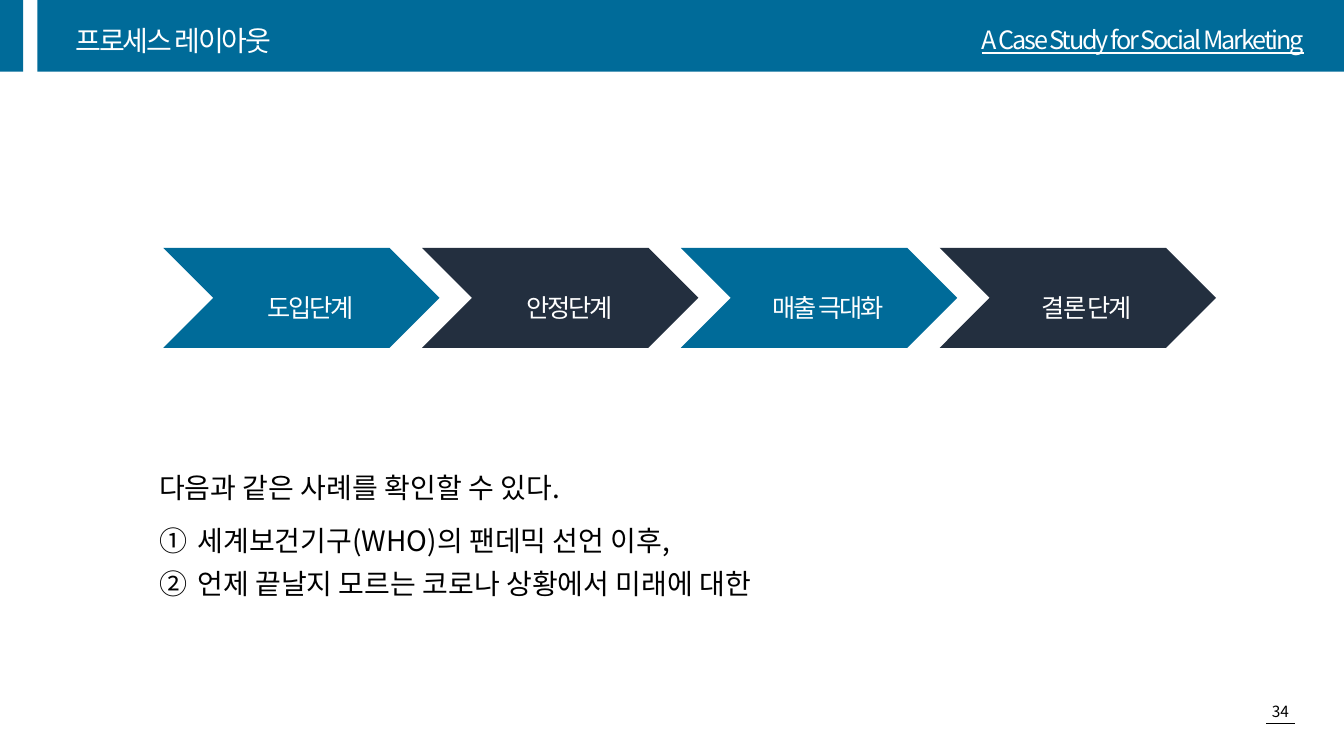
from lxml import etree
from pptx import Presentation
from pptx.dml.color import RGBColor
from pptx.enum.shapes import MSO_CONNECTOR, MSO_SHAPE
from pptx.enum.text import MSO_ANCHOR, PP_ALIGN
from pptx.oxml.ns import qn
from pptx.util import Inches, Pt

RECTANGLE, CHEVRON = MSO_SHAPE.RECTANGLE, MSO_SHAPE.CHEVRON
LEFT, CENTER, RIGHT, JUSTIFY = PP_ALIGN.LEFT, PP_ALIGN.CENTER, PP_ALIGN.RIGHT, PP_ALIGN.JUSTIFY
TOP, MIDDLE = MSO_ANCHOR.TOP, MSO_ANCHOR.MIDDLE

TITLE = "프로세스 레이아웃"
SUBTITLE = "A Case Study for Social Marketing"
STAGES = ["도입단계", "안정단계", "매출 극대화", "결론 단계"]
LEAD = "다음과 같은 사례를 확인할 수 있다."
CASES = ["세계보건기구(WHO)의 팬데믹 선언 이후,", "언제 끝날지 모르는 코로나 상황에서 미래에 대한"]
PAGE_NUMBER = "34"

FONT = "Noto Sans CJK KR"
BLUE, NAVY, WHITE, BLACK = "006B99", "232F3F", "FFFFFF", "000000"
HEADER_BARS = [(0, 0.23), (0.37, 12.97)]
HEADER_HEIGHT = 0.71
STAGE_LEFT, STAGE_TOP, STAGE_PITCH = 1.62, 2.46, 2.567
STAGE_WIDTH, STAGE_HEIGHT = 2.74, 0.99
LABEL_OFFSET = 0.21
NUMBER_INDENT = 0.38

presentation = Presentation()
presentation.slide_width, presentation.slide_height = Inches(13.33), Inches(7.5)
slide = presentation.slides.add_slide(presentation.slide_layouts[6])


def color(value):
    return RGBColor.from_string(value)


def add_block(kind, left, top, width, height, fill):
    shape = slide.shapes.add_shape(kind, Inches(left), Inches(top), Inches(width), Inches(height))
    shape.shadow.inherit = False
    shape.fill.solid()
    shape.fill.fore_color.rgb = color(fill)
    shape.line.fill.background()


def number_paragraph(paragraph):
    properties = paragraph._p.get_or_add_pPr()
    properties.set("marL", str(Inches(NUMBER_INDENT)))
    properties.set("indent", str(-Inches(NUMBER_INDENT)))
    etree.SubElement(properties, qn("a:buFont"), typeface="+mj-ea")
    etree.SubElement(properties, qn("a:buAutoNum"), type="circleNumDbPlain")


def add_text(lines, left, top, width, height, size=20, fill=BLACK, align=LEFT, anchor=TOP,
             line_spacing=1.3, tracking=0, underline=False, numbered=False):
    box = slide.shapes.add_textbox(Inches(left), Inches(top), Inches(width), Inches(height))
    frame = box.text_frame
    frame.word_wrap = True
    frame.vertical_anchor = anchor
    for index, line in enumerate(lines):
        paragraph = frame.add_paragraph() if index else frame.paragraphs[0]
        paragraph.alignment = align
        paragraph.line_spacing = line_spacing
        if numbered:
            number_paragraph(paragraph)
        run = paragraph.add_run()
        run.text = line
        run.font.size = Pt(size)
        run.font.color.rgb = color(fill)
        run.font.name = FONT
        if underline:
            run.font.underline = True
        properties = run._r.get_or_add_rPr()
        etree.SubElement(properties, qn("a:ea"), typeface=FONT)
        if tracking:
            properties.set("spc", str(int(tracking * 100)))


for left, width in HEADER_BARS:
    add_block(RECTANGLE, left, 0, width, HEADER_HEIGHT, BLUE)

add_text([PAGE_NUMBER], 12.36, 6.92, 0.68, 0.29, size=11, align=CENTER, line_spacing=1.0)
page_rule = slide.shapes.add_connector(
    MSO_CONNECTOR.STRAIGHT, Inches(12.56), Inches(7.18), Inches(12.84), Inches(7.18))
page_rule.line.color.rgb = color(BLACK)
page_rule.line.width = Pt(0.5)
etree.SubElement(page_rule._element.spPr, qn("a:effectLst"))

add_text([SUBTITLE], 8.47, 0.11, 4.56, 0.47, size=18, fill=WHITE, align=RIGHT,
         anchor=MIDDLE, tracking=-1.5, underline=True)
add_text([TITLE], 0.65, 0.05, 4.56, 0.6, fill=WHITE, anchor=MIDDLE, tracking=-1.5)

for index, stage in enumerate(STAGES):
    left = STAGE_LEFT + index * STAGE_PITCH
    add_block(CHEVRON, left, STAGE_TOP, STAGE_WIDTH, STAGE_HEIGHT, (BLUE, NAVY)[index % 2])
    add_text([stage], left + LABEL_OFFSET, 2.7, 2.5, 0.52, size=18, fill=WHITE,
             align=CENTER, line_spacing=1.5, tracking=-1.5)

add_text(CASES, 1.48, 5.04, 9.08, 0.97, align=JUSTIFY, numbered=True)
add_text([LEAD], 1.48, 4.53, 6.71, 0.51, anchor=MIDDLE)

presentation.save("out.pptx")
